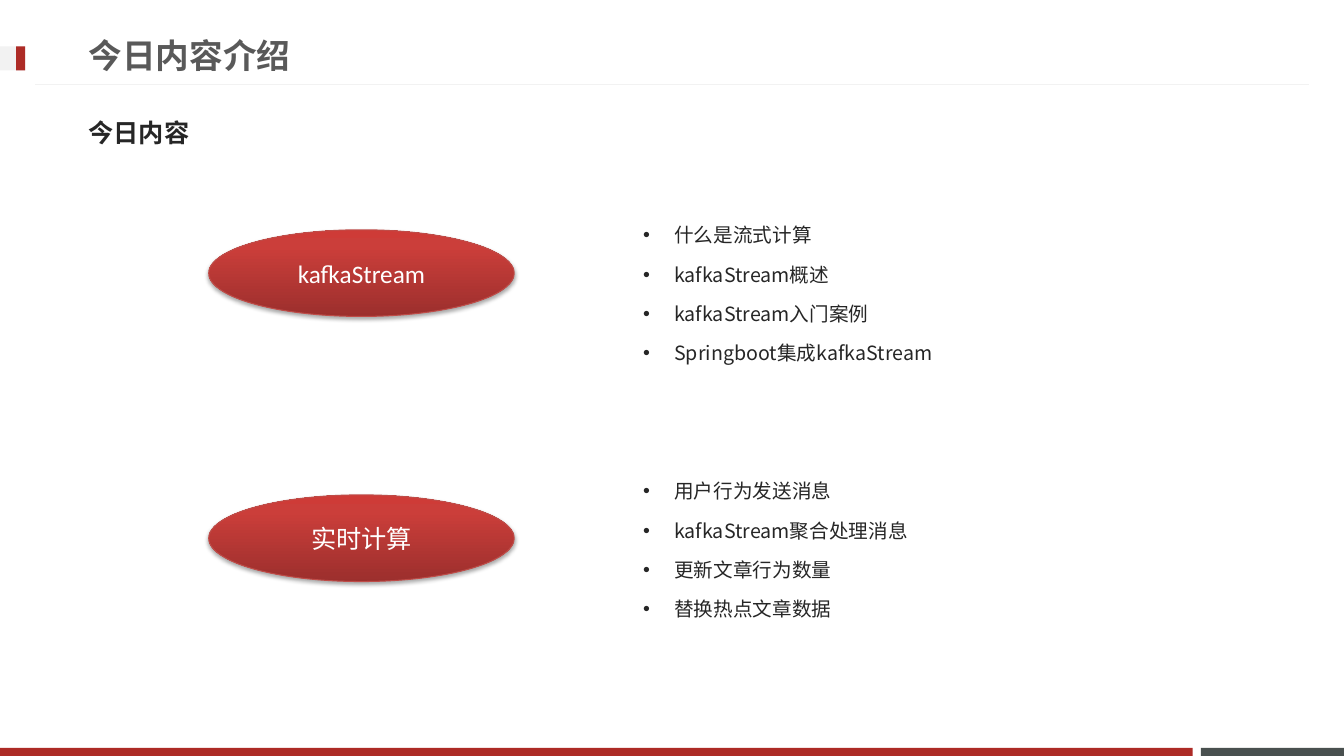
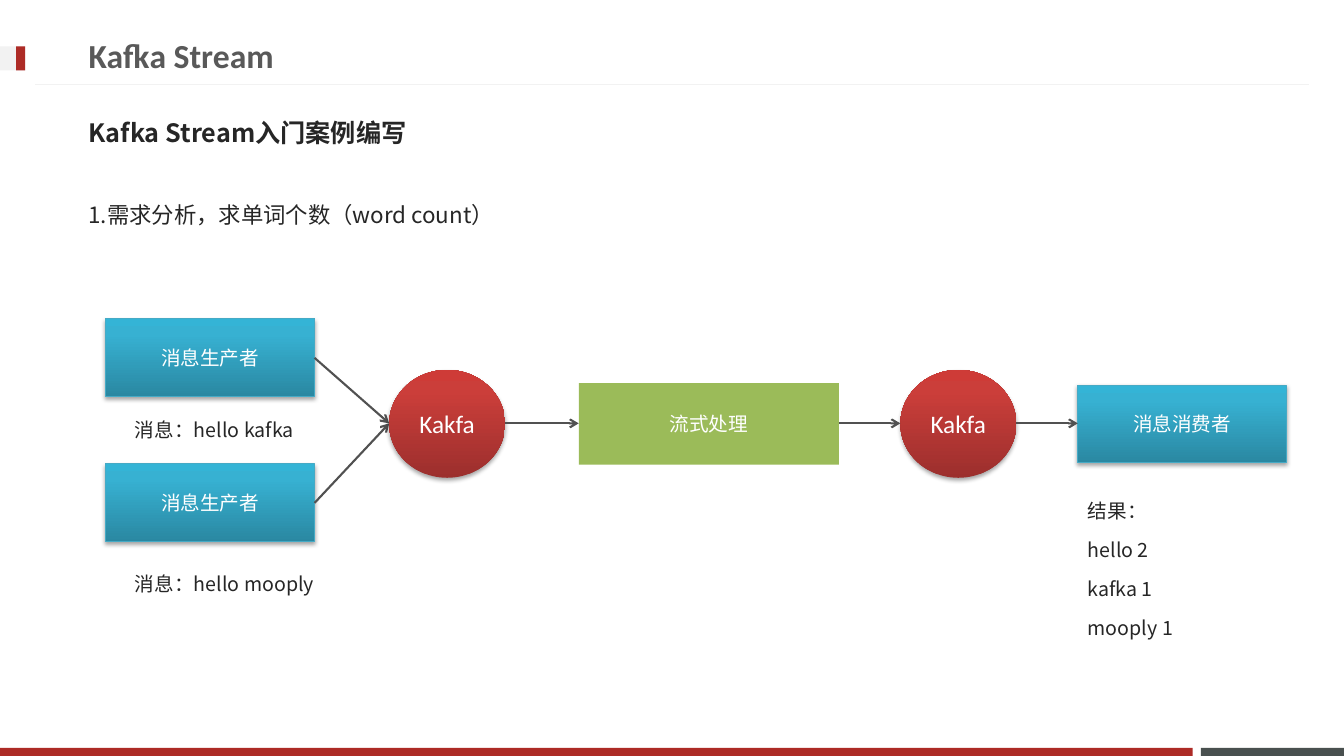
from collections import namedtuple

from lxml.etree import SubElement
from pptx import Presentation
from pptx.dml.color import RGBColor
from pptx.enum.shapes import MSO_CONNECTOR, MSO_SHAPE
from pptx.enum.text import MSO_ANCHOR, MSO_AUTO_SIZE, PP_ALIGN
from pptx.oxml.ns import qn
from pptx.util import Emu, Pt

EMU_PER_PX = 9144
SLIDE_WIDTH, SLIDE_HEIGHT = 1333, 750

WHITE = RGBColor(0xFF, 0xFF, 0xFF)
PALE = RGBColor(0xF2, 0xF2, 0xF2)
BRAND_RED = RGBColor(0xAD, 0x2B, 0x26)
SLATE = RGBColor(0x49, 0x50, 0x4F)
TITLE_GREY = RGBColor(0x59, 0x59, 0x59)
INK = RGBColor(0x26, 0x26, 0x26)
ARROW_GREY = RGBColor(0x51, 0x51, 0x51)
GREEN = RGBColor(0x9B, 0xBB, 0x59)
RED_EDGE = RGBColor(0xBF, 0x4C, 0x48)
BLUE_EDGE = RGBColor(0x46, 0xAA, 0xC5)
RED_STOPS = (
    (0, RGBColor(0x9C, 0x2F, 0x2D)),
    (80, RGBColor(0xCB, 0x3E, 0x3A)),
    (100, RGBColor(0xCE, 0x3B, 0x37)),
)
BLUE_STOPS = (
    (0, RGBColor(0x2A, 0x88, 0xA2)),
    (80, RGBColor(0x37, 0xB1, 0xD2)),
    (100, RGBColor(0x34, 0xB4, 0xD6)),
)

LATIN_FONT = "Calibri"
BODY_FONT = "Noto Sans CJK JP"
TEXT_LEFT, TEXT_WIDTH = 78, 1170

Box = namedtuple("Box", "left top width height")


def px(length):
    return Emu(round(length * EMU_PER_PX))


def place(box):
    return [px(length) for length in box]


def add_xml(parent, tag, **attributes):
    return SubElement(parent, qn(tag), {key: str(value) for key, value in attributes.items()})


def write(text_frame, lines, size, color, font=BODY_FONT, bold=False):
    text_frame.text = "\n".join(lines)
    for paragraph in text_frame.paragraphs:
        for run in paragraph.runs:
            run.font.size = Pt(size)
            run.font.bold = bold
            run.font.name = font
            run.font.color.rgb = color
            add_xml(run.font._element, "a:ea", typeface=BODY_FONT)


def add_text(slide, box, lines, size, bold=False, spacing=1.5, bullets=False,
             anchor=MSO_ANCHOR.TOP):
    text_frame = slide.shapes.add_textbox(*place(box)).text_frame
    text_frame.word_wrap = True
    text_frame.vertical_anchor = anchor
    write(text_frame, lines, size, INK, bold=bold)
    for paragraph in text_frame.paragraphs:
        paragraph.line_spacing = spacing
        paragraph.space_before = Pt(size * 0.2)
        if bullets:
            properties = paragraph._p.get_or_add_pPr()
            properties.set("marL", str(px(31)))
            properties.set("indent", str(px(-31)))
            add_xml(properties, "a:buFont", typeface="Arial")
            add_xml(properties, "a:buChar", char="•")


def add_solid(slide, box, color):
    shape = slide.shapes.add_shape(MSO_SHAPE.RECTANGLE, *place(box))
    shape.shadow.inherit = False
    shape.fill.solid()
    shape.fill.fore_color.rgb = color
    shape.line.fill.background()
    return shape


def label(shape, text, size):
    write(shape.text_frame, [text], size, WHITE, LATIN_FONT)
    shape.text_frame.vertical_anchor = MSO_ANCHOR.MIDDLE
    shape.text_frame.paragraphs[0].alignment = PP_ALIGN.CENTER


def add_glossy(slide, kind, box, text, size, stops, edge=None):
    shape = slide.shapes.add_shape(kind, *place(box))
    properties = shape.element.spPr
    shape.fill.gradient()
    shape.fill.gradient_angle = 90
    stop_list = properties.find(qn("a:gradFill")).find(qn("a:gsLst"))
    for old_stop in list(stop_list):
        stop_list.remove(old_stop)
    for position, color in stops:
        stop = add_xml(stop_list, "a:gs", pos=position * 1000)
        add_xml(stop, "a:srgbClr", val=color)
    if edge is None:
        shape.line.fill.background()
    else:
        shape.line.color.rgb = edge
        shape.line.width = Pt(0.75)
    shape.shadow.inherit = False
    shadow = add_xml(properties.find(qn("a:effectLst")), "a:outerShdw", blurRad=Pt(3.1),
                     dist=Pt(1.8), dir=5400000, rotWithShape=0)
    shadow_color = add_xml(shadow, "a:srgbClr", val="000000")
    add_xml(shadow_color, "a:alpha", val=35000)
    label(shape, text, size)


def add_line(slide, start, end, color, width, arrow=False):
    connector = slide.shapes.add_connector(
        MSO_CONNECTOR.STRAIGHT, *[px(length) for length in (*start, *end)])
    connector.line.color.rgb = color
    connector.line.width = Pt(width)
    if arrow:
        add_xml(connector.line._get_or_add_ln(), "a:tailEnd", type="arrow")
    add_xml(connector.element.spPr, "a:effectLst")


def add_frame(slide):
    add_solid(slide, Box(1191, 742, 142, 8), SLATE)
    add_solid(slide, Box(0, 742, 1183, 8), BRAND_RED)
    add_line(slide, (1298, 84), (35, 84), PALE, 0.75)
    add_solid(slide, Box(0, 46, 25, 24), PALE)
    add_solid(slide, Box(16, 46, 9, 24), BRAND_RED)


def add_titled_slide(presentation, title_text, heading):
    slide = presentation.slides.add_slide(presentation.slide_layouts[5])
    add_frame(slide)
    title = slide.shapes.title
    title.left, title.top, title.width, title.height = place(Box(TEXT_LEFT, 26, 959, 57))
    write(title.text_frame, [title_text], 24, TITLE_GREY, LATIN_FONT, bold=True)
    title.text_frame.auto_size = MSO_AUTO_SIZE.NONE
    title.text_frame.vertical_anchor = MSO_ANCHOR.MIDDLE
    title.text_frame.paragraphs[0].alignment = PP_ALIGN.LEFT
    add_text(slide, Box(TEXT_LEFT, 103, TEXT_WIDTH, 57), [heading], 18, bold=True,
             spacing=1.0, anchor=MSO_ANCHOR.MIDDLE)
    return slide


def add_topic(slide, box, oval_offset, name, points):
    oval = Box(box.left, box.top + oval_offset, 303, 86)
    add_glossy(slide, MSO_SHAPE.OVAL, oval, name, 18, RED_STOPS, RED_EDGE)
    point_box = Box(box.left + 421, box.top, box.width - 421, box.height)
    add_text(slide, point_box, points, 14, bullets=True)


def add_endpoint(slide, left, top, name):
    box = Box(left, top, 207, 77)
    add_glossy(slide, MSO_SHAPE.RECTANGLE, box, name, 14, BLUE_STOPS, BLUE_EDGE)


def add_stream_flow(slide, box):
    middle = box.top + 104
    brokers = [box.left + 281, box.left + 788]
    processor = Box(box.left + 469, middle - 40, 258, 81)
    consumer_left = box.left + box.width - 207

    for offset, message_offset, message in (
        (0, 82, "消息：hello kafka"),
        (144, 235, "消息：hello mooply"),
    ):
        top = box.top + offset
        add_endpoint(slide, box.left, top, "消息生产者")
        add_line(slide, (box.left + 207, top + 39), (brokers[0], middle), ARROW_GREY, 1.5, True)
        message_box = Box(box.left + 19, box.top + message_offset, 202, 48)
        add_text(slide, message_box, [message], 14)

    for left in brokers:
        broker = Box(left, middle - 53, 115, 107)
        add_glossy(slide, MSO_SHAPE.OVAL, broker, "Kakfa", 18, RED_STOPS)
    label(add_solid(slide, processor, GREEN), "流式处理", 14)
    add_endpoint(slide, consumer_left, middle - 38, "消息消费者")

    for start, end in (
        (brokers[0] + 115, processor.left),
        (processor.left + processor.width, brokers[1]),
        (brokers[1] + 115, consumer_left),
    ):
        add_line(slide, (start, middle), (end, middle), ARROW_GREY, 1.5, True)

    add_text(slide, Box(consumer_left, middle + 58, 202, 169),
             ["结果：", "hello 2", "kafka 1", "mooply 1"], 14)


def build_agenda(presentation):
    slide = add_titled_slide(presentation, "今日内容介绍", "今日内容")
    add_topic(slide, Box(207, 205, 814, 170), 23, "kafkaStream",
              ["什么是流式计算", "kafkaStream概述", "kafkaStream入门案例",
               "Springboot集成kafkaStream"])
    add_topic(slide, Box(207, 459, 807, 166), 32, "实时计算",
              ["用户行为发送消息", "kafkaStream聚合处理消息", "更新文章行为数量",
               "替换热点文章数据"])


def build_word_count(presentation):
    slide = add_titled_slide(presentation, "Kafka Stream", "Kafka Stream入门案例编写")
    add_text(slide, Box(TEXT_LEFT, 181, TEXT_WIDTH, 68),
             ["1.需求分析，求单词个数（word count）"], 16)
    add_stream_flow(slide, Box(105, 316, 1171, 331))


def main():
    presentation = Presentation()
    presentation.slide_width = px(SLIDE_WIDTH)
    presentation.slide_height = px(SLIDE_HEIGHT)
    build_agenda(presentation)
    build_word_count(presentation)
    presentation.save("out.pptx")


if __name__ == "__main__":
    main()
